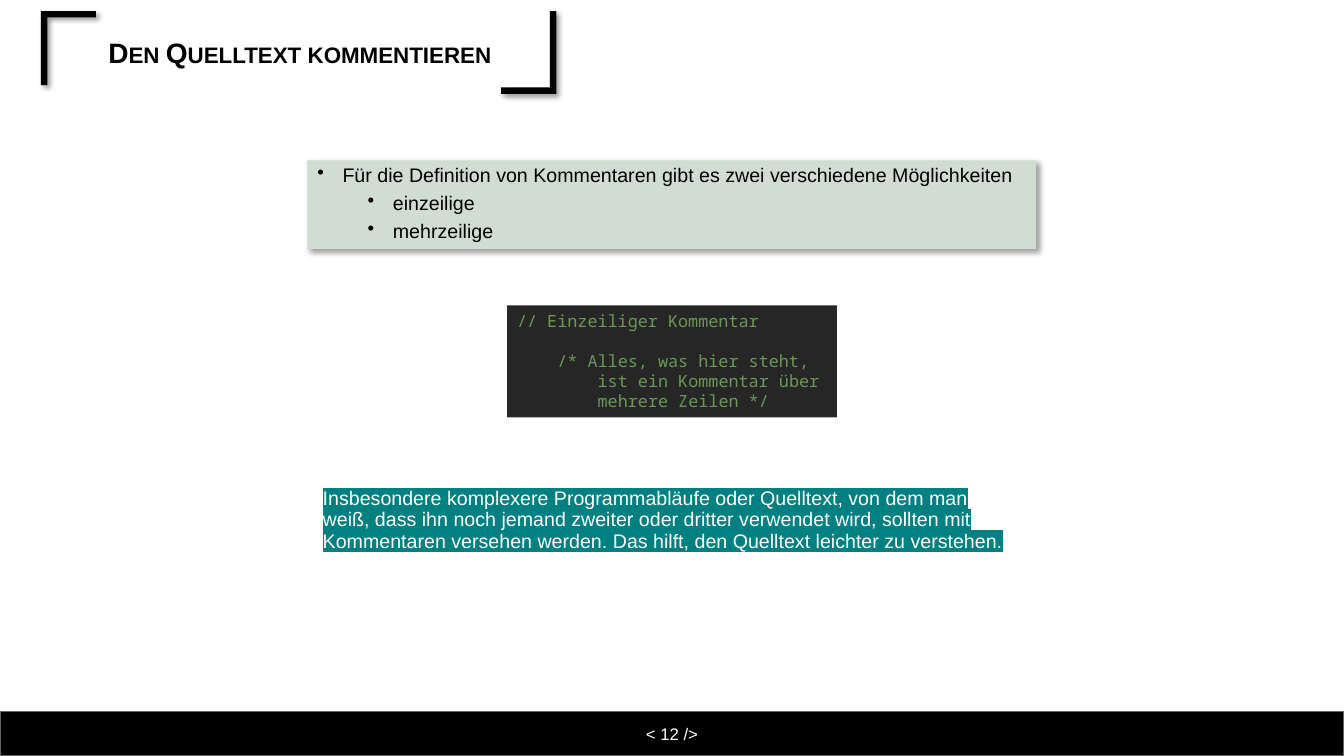
from dataclasses import dataclass

from lxml.etree import SubElement
from pptx import Presentation
from pptx.dml.color import RGBColor
from pptx.enum.shapes import MSO_SHAPE
from pptx.enum.text import MSO_ANCHOR, MSO_AUTO_SIZE, PP_ALIGN
from pptx.oxml.ns import qn
from pptx.util import Pt


@dataclass(frozen=True)
class Theme:
    """Colours, fonts and type sizes of the slide."""
    black: str = "000000"
    white: str = "FFFFFF"
    footer_line: str = "686863"
    sage: str = "D1DDD2"
    code_back: str = "262626"
    code_text: str = "6A9955"
    teal: str = "008080"
    sans: str = "Arial"
    mono: str = "Noto Sans Mono"
    title_size: int = 20
    body_size: int = 14
    small_size: int = 12


def add_child(parent, tag, **attributes):
    """Append a DrawingML element and return it."""
    return SubElement(parent, qn(f"a:{tag}"), attributes)


class SlideBuilder:
    """Holds the theme and the slide that is being filled."""

    def __init__(self, page, theme):
        """Keep the page and its theme."""
        self.page = page
        self.theme = theme

    def paint(self, shape, fill, line=None, shadow=False):
        """Set fill, outline and an optional soft shadow."""
        shape.shadow.inherit = False
        shape.fill.solid()
        shape.fill.fore_color.rgb = RGBColor.from_string(fill)
        if line:
            shape.line.color.rgb = RGBColor.from_string(line)
            shape.line.width = Pt(1)
        else:
            shape.line.fill.background()
        if shadow:
            effects = shape.element.spPr.find(qn("a:effectLst"))
            outer = add_child(effects, "outerShdw", blurRad=str(Pt(4)), dist=str(Pt(3)),
                              dir="2700000", algn="tl", rotWithShape="0")
            color = add_child(outer, "srgbClr", val=self.theme.black)
            add_child(color, "alpha", val="40000")

    def bracket(self, corner_x, corner_y, arm_x, arm_y, thickness=4.6):
        """Draw an L-shaped bracket; signed arms run from its corner."""
        step_x = thickness if arm_x > 0 else -thickness
        step_y = thickness if arm_y > 0 else -thickness
        offsets = [(0, 0), (arm_x, 0), (arm_x, step_y), (step_x, step_y),
                   (step_x, arm_y), (0, arm_y)]
        points = [(Pt(corner_x + x), Pt(corner_y + y)) for x, y in offsets]
        outline = self.page.shapes.build_freeform(*points[0], scale=1.0)
        outline.add_line_segments(points[1:], close=True)
        self.paint(outline.convert_to_shape(), self.theme.black, shadow=True)

    def panel(self, left, top, width, height, fill, **style):
        """Add a filled rectangle and return its text frame."""
        shape = self.page.shapes.add_shape(
            MSO_SHAPE.RECTANGLE, Pt(left), Pt(top), Pt(width), Pt(height))
        self.paint(shape, fill, **style)
        return self.prepare(shape.text_frame, MSO_ANCHOR.TOP)

    def text_box(self, left, top, width, height):
        """Add a plain text box and return its text frame."""
        box = self.page.shapes.add_textbox(Pt(left), Pt(top), Pt(width), Pt(height))
        return self.prepare(box.text_frame, MSO_ANCHOR.TOP)

    def prepare(self, frame, anchor):
        """Turn on wrapping, fix the size and anchor the text."""
        frame.word_wrap = True
        frame.auto_size = MSO_AUTO_SIZE.NONE
        frame.vertical_anchor = anchor
        return frame

    def paragraph(self, frame, text, size, color, font=None, bold=False,
                  align=PP_ALIGN.LEFT, spacing=1.0, before=0, indent=0, bullet=False):
        """Add one paragraph and return its run."""
        para = frame.paragraphs[0]
        if para.runs:
            para = frame.add_paragraph()
        span = para.add_run()
        span.text = text
        para.alignment = align
        para.line_spacing = spacing
        para.space_before = Pt(before)
        para.font.name = font or self.theme.sans
        para.font.size = Pt(size)
        para.font.bold = bold
        para.font.color.rgb = RGBColor.from_string(color)
        properties = para._p.get_or_add_pPr()
        properties.set("marL", str(Pt(indent)))
        properties.set("indent", str(Pt(-18 if bullet else 0)))
        if bullet:
            mark = properties.makeelement(qn("a:buChar"), {"char": "•"})
            properties.find(qn("a:defRPr")).addprevious(mark)
        return span

    def title(self, text, left, top, width, height):
        """Place the title placeholder and set it in small capitals."""
        theme = self.theme
        shape = self.page.shapes.title
        shape.left, shape.top = Pt(left), Pt(top)
        shape.width, shape.height = Pt(width), Pt(height)
        frame = self.prepare(shape.text_frame, MSO_ANCHOR.MIDDLE)
        span = self.paragraph(frame, text, theme.title_size, theme.black,
                              bold=True, align=PP_ALIGN.CENTER, spacing=0.9)
        span._r.get_or_add_rPr().set("cap", "small")

    def bullets(self, frame, items):
        """Add bulleted text from pairs of level and text."""
        for level, text in items:
            self.paragraph(frame, text, self.theme.body_size, self.theme.black, spacing=0.9,
                           before=5 if level else 10, indent=18 + 36 * level, bullet=True)

    def code(self, frame, lines):
        """Add code from triples of tab depth, space before and text."""
        tab = 4 * 0.6 * self.theme.small_size
        for depth, before, text in lines:
            self.paragraph(frame, text, self.theme.small_size, self.theme.code_text,
                           font=self.theme.mono, before=before, indent=depth * tab)

    def highlighted(self, frame, text):
        """Add white text on a coloured marker."""
        span = self.paragraph(frame, text, self.theme.body_size, self.theme.white,
                              spacing=0.9, before=10)
        marker = add_child(span._r.get_or_add_rPr(), "highlight")
        add_child(marker, "srgbClr", val=self.theme.teal)

    def footer(self, text, top, width, height):
        """Add the full-width footer bar with its centred page mark."""
        theme = self.theme
        frame = self.panel(0, top, width, height, theme.black, line=theme.footer_line)
        frame.vertical_anchor = MSO_ANCHOR.MIDDLE
        self.paragraph(frame, text, theme.small_size, theme.white, align=PP_ALIGN.CENTER)


def main():
    """Build the slide and save the deck."""
    theme = Theme()
    deck = Presentation()
    deck.slide_width, deck.slide_height = Pt(960), Pt(540)
    slide = SlideBuilder(deck.slides.add_slide(deck.slide_layouts[5]), theme)

    slide.bracket(29.2, 7.9, 39.4, 53)
    slide.bracket(397.4, 67, -39.4, -59)
    slide.footer("< 12 />", 508.3, 960, 31.7)
    slide.title("Den Quelltext kommentieren", 38.2, 17.3, 352, 43.2)

    options = slide.panel(219.6, 114.5, 520.6, 63.4, theme.sage, shadow=True)
    slide.bullets(options, [
        (0, "Für die Definition von Kommentaren gibt es zwei verschiedene Möglichkeiten"),
        (1, "einzeilige"),
        (1, "mehrzeilige"),
    ])

    example = slide.panel(362.2, 218.2, 235.6, 79.9, theme.code_back)
    slide.code(example, [
        (0, 0, "// Einzeiliger Kommentar"),
        (1, 14.3, "/* Alles, was hier steht,"),
        (2, 0, "ist ein Kommentar über"),
        (2, 0, "mehrere Zeilen */"),
    ])

    advice = slide.text_box(223.4, 345.6, 512.6, 53.3)
    slide.highlighted(advice, (
        "Insbesondere komplexere Programmabläufe oder Quelltext, von dem man weiß, "
        "dass ihn noch jemand zweiter oder dritter verwendet wird, sollten mit "
        "Kommentaren versehen werden. Das hilft, den Quelltext leichter zu verstehen."))

    deck.save("out.pptx")


main()
